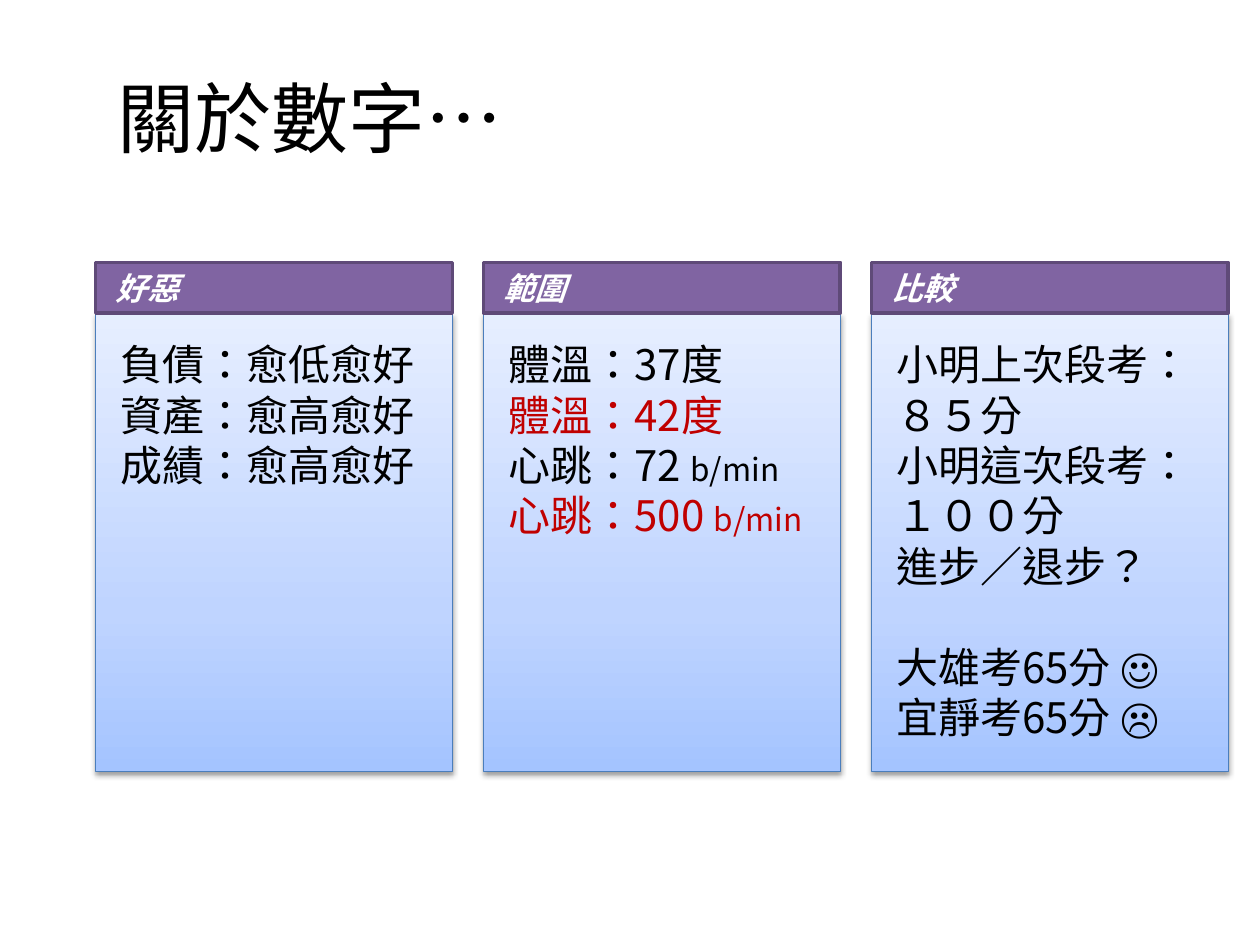
from lxml import etree
from pptx import Presentation
from pptx.dml.color import RGBColor
from pptx.enum.shapes import MSO_SHAPE
from pptx.enum.text import MSO_ANCHOR, PP_ALIGN
from pptx.oxml.ns import qn
from pptx.util import Cm, Pt

RECT = MSO_SHAPE.RECTANGLE
TOP, MIDDLE = MSO_ANCHOR.TOP, MSO_ANCHOR.MIDDLE
LEFT = PP_ALIGN.LEFT
TITLE_ONLY = 5
FONT = "Noto Sans CJK SC"
COLORS = {
    "text": "000000", "alert": "C00000", "white": "FFFFFF",
    "header": "8064A2", "header_line": "5F4A78", "body_line": "4B7EBC",
}
BODY_STOPS = [(0, "A4C4FF"), (35, "BFD4FF"), (100, "E6EEFF")]
LINE_HEIGHT = 28.8
HEADER_HEIGHT = 1.02

# Each column: heading, then lines of (spans, colour, space before);
# a span is (text, size)
COLUMNS = [
    ("好惡", [
        ([("負債：愈低愈好", 24)], "text", 0),
        ([("資產：愈高愈好", 24)], "text", 0),
        ([("成績：愈高愈好", 24)], "text", 0),
    ]),
    ("範圍", [
        ([("體溫：37度", 24)], "text", 0),
        ([("體溫：42度", 24)], "alert", 0),
        ([("心跳：72 ", 24), ("b/min", 18)], "text", 0),
        ([("心跳：500 ", 24), ("b/min", 18)], "alert", 0),
    ]),
    ("比較", [
        ([("小明上次段考：８５分", 24)], "text", 0),
        ([("小明這次段考：１００分", 24)], "text", 0),
        ([("進步／退步？", 24)], "text", 0),
        ([("大雄考65分 ☺", 24)], "text", LINE_HEIGHT),
        ([("宜靜考65分 ☹", 24)], "text", 0),
    ]),
]


def rgb(name):
    return RGBColor.from_string(COLORS[name])


def add_span(para, text, size=24, color="text", bold=False, italic=False):
    span = para.add_run()
    span.text = text
    font = span.font
    font.size, font.bold, font.italic = Pt(size), bold, italic
    font.color.rgb = rgb(color)
    font.name = FONT
    # East Asian face and Traditional Chinese glyph forms
    props = span._r.get_or_add_rPr()
    props.set("lang", "zh-TW")
    latin = props.find(qn("a:latin"))
    east_asian = etree.Element(qn("a:ea"), typeface=FONT)
    latin.addnext(east_asian)


def format_frame(frame, anchor, side, vertical):
    frame.word_wrap = True
    frame.vertical_anchor = anchor
    frame.margin_left = frame.margin_right = Cm(side)
    frame.margin_top = frame.margin_bottom = Cm(vertical)


def add_box(page, left, top, width, height, line, line_width):
    box = page.shapes.add_shape(RECT, Cm(left), Cm(top), Cm(width), Cm(height))
    box.shadow.inherit = False
    box.line.color.rgb = rgb(line)
    box.line.width = Pt(line_width)
    return box


def add_color(parent, color, alpha=None):
    node = etree.SubElement(parent, qn("a:srgbClr"), val=color)
    if alpha is not None:
        etree.SubElement(node, qn("a:alpha"), val=str(alpha * 1000))


def set_gradient(box, stops):
    box.fill.gradient()
    box.fill.gradient_angle = 90
    stop_list = box._element.spPr.find(".//" + qn("a:gsLst"))
    for old_stop in list(stop_list):
        stop_list.remove(old_stop)
    for position, color in stops:
        stop = etree.SubElement(stop_list, qn("a:gs"), pos=str(position * 1000))
        add_color(stop, color)


def set_shadow(box):
    effects = box._element.spPr.find(qn("a:effectLst"))
    shadow = etree.SubElement(
        effects, qn("a:outerShdw"), blurRad=str(Pt(3.1)), dist=str(Pt(1.6)),
        dir="5400000", rotWithShape="0")
    add_color(shadow, COLORS["text"], alpha=38)


def add_title(page, left, top, width, height):
    title = page.shapes.title
    title.left, title.top = Cm(left), Cm(top)
    title.width, title.height = Cm(width), Cm(height)
    format_frame(title.text_frame, MIDDLE, 0.25, 0.13)
    para = title.text_frame.paragraphs[0]
    para.alignment = LEFT
    add_span(para, "關於數字…", size=44)


def add_column(page, left, top, width, height, heading, lines):
    # Body panel
    body = add_box(page, left, top + HEADER_HEIGHT + 0.02, width,
                   height - HEADER_HEIGHT - 0.02, "body_line", 0.75)
    set_gradient(body, BODY_STOPS)
    set_shadow(body)
    frame = body.text_frame
    format_frame(frame, TOP, 0.5, 0.5)
    for index, (spans, color, space) in enumerate(lines):
        para = frame.add_paragraph() if index else frame.paragraphs[0]
        para.alignment = LEFT
        para.line_spacing = Pt(LINE_HEIGHT)
        para.space_before = Pt(space)
        for text, size in spans:
            add_span(para, text, size=size, color=color)

    # Header bar
    header = add_box(page, left, top, width, HEADER_HEIGHT, "header_line", 2)
    header.fill.solid()
    header.fill.fore_color.rgb = rgb("header")
    format_frame(header.text_frame, MIDDLE, 0.4, 0)
    para = header.text_frame.paragraphs[0]
    para.alignment = LEFT
    add_span(para, heading, size=18, color="white", bold=True, italic=True)


def main():
    deck = Presentation()
    deck.slide_width, deck.slide_height = Cm(25.4), Cm(19.05)
    page = deck.slides.add_slide(deck.slide_layouts[TITLE_ONLY])
    add_title(page, 2.11, 0.76, 22.43, 3.18)
    for index, (heading, lines) in enumerate(COLUMNS):
        add_column(page, 1.93 + index * 7.82, 5.29, 7.19, 10.27, heading, lines)
    deck.save("out.pptx")


if __name__ == "__main__":
    main()
